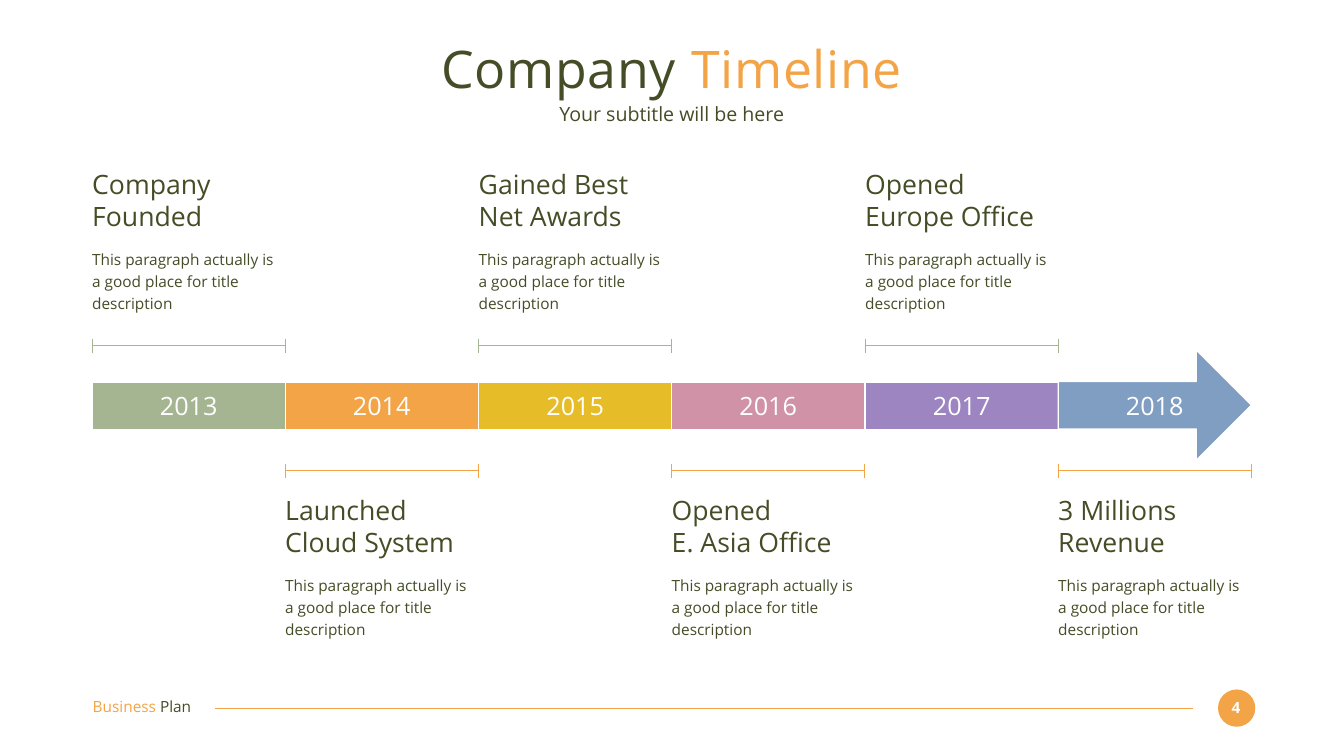
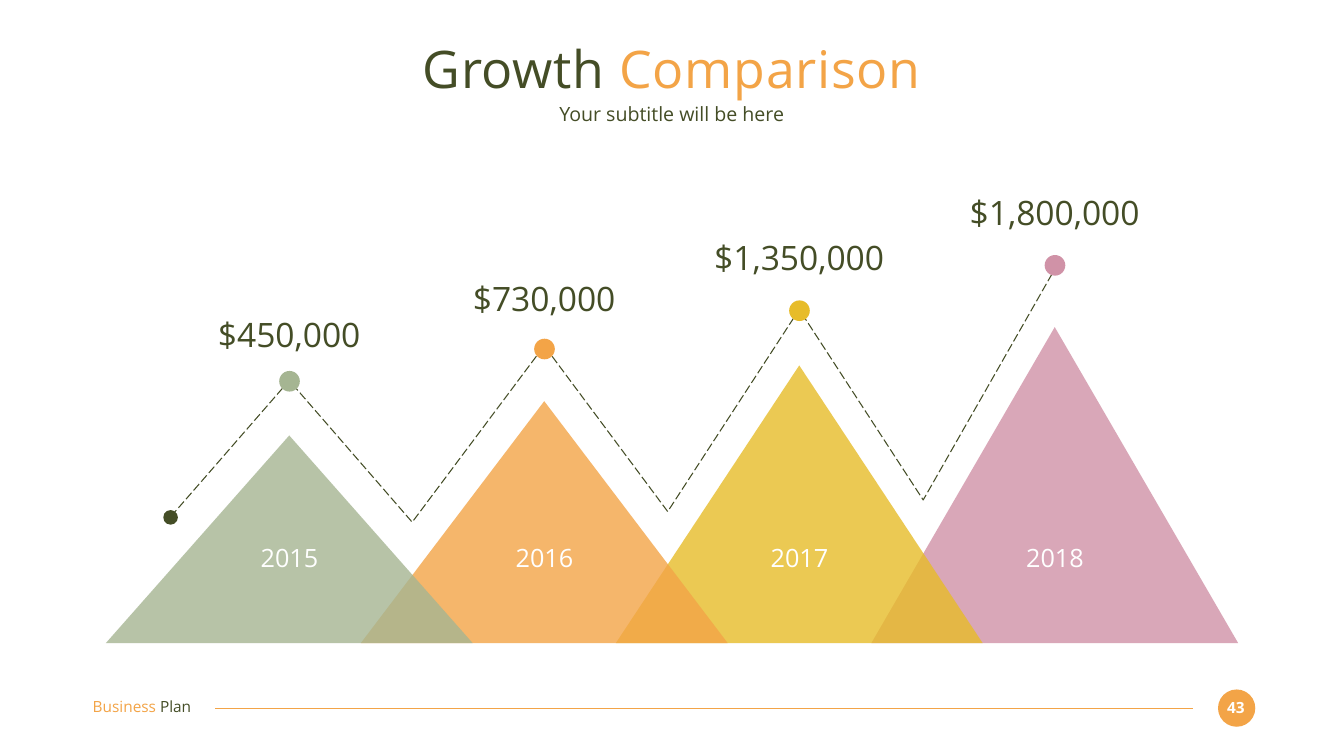
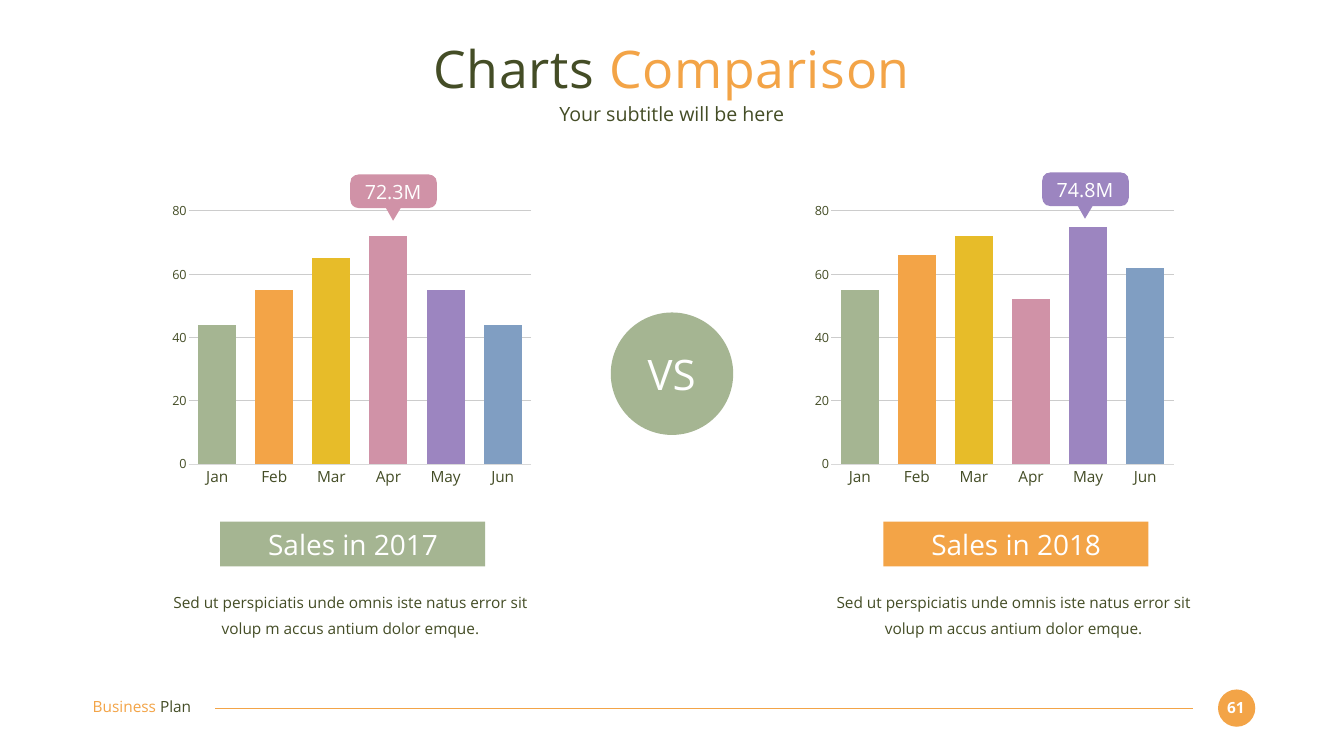
import math

from pptx import Presentation
from pptx import util as u
from pptx.chart.data import CategoryChartData
from pptx.dml.color import RGBColor
from pptx.enum import chart as charts, dml, shapes, text
from pptx.oxml import parse_xml
from pptx.oxml.ns import nsdecls, qn

PX = 9144
FONT = "Open Sans"
INK, WHITE = "444D26", "FFFFFF"
GREEN, ORANGE, YELLOW, PINK, PURPLE, BLUE = PALETTE = [
    "A5B592", "F3A447", "E7BC29", "D092A7", "9C85C0", "809EC2"]
LEFT, CENTER = text.PP_ALIGN.LEFT, text.PP_ALIGN.CENTER
KIND = shapes.MSO_SHAPE
rgb = RGBColor.from_string


def write(box, paragraphs, size, align=CENTER, leading=1.0, bold=False):
    frame = box.text_frame
    frame.word_wrap = True
    frame.auto_size = text.MSO_AUTO_SIZE.NONE
    frame.vertical_anchor = text.MSO_ANCHOR.TOP
    frame.margin_left = frame.margin_top = frame.margin_right = frame.margin_bottom = 0
    for index, spans in enumerate(paragraphs):
        para = frame.add_paragraph() if index else frame.paragraphs[0]
        para.alignment = align
        para.line_spacing = leading
        for words, color in spans:
            span = para.add_run()
            span.text = words
            span.font.name = FONT
            span.font.size = u.Pt(size)
            span.font.bold = bold
            span.font.color.rgb = rgb(color)


def paint(shape, fill=None, outline=None):
    shape.shadow.inherit = False
    if fill:
        shape.fill.solid()
        shape.fill.fore_color.rgb = rgb(fill)
    else:
        shape.fill.background()
    if outline:
        shape.line.color.rgb = rgb(outline)
        shape.line.width = u.Pt(1.5)
    else:
        shape.line.fill.background()


deck = Presentation()
deck.slide_width, deck.slide_height = 2667 * PX, 1500 * PX
pages = []
rules = []

for number, first, second in [
        ("4", "Company ", "Timeline"),
        ("43", "Growth ", "Comparison"),
        ("61", "Charts ", "Comparison")]:
    page = deck.slides.add_slide(deck.slide_layouts[5])
    pages.append(page)
    title = page.shapes.title
    title.left, title.top, title.width, title.height = 183 * PX, 73 * PX, 2300 * PX, 127 * PX
    write(title, [[(first, INK), (second, ORANGE)]], 74)
    for span in title.text_frame.paragraphs[0].runs:
        span._r.get_or_add_rPr().set("spc", "100")
    subtitle = page.shapes.add_textbox(183 * PX, 203 * PX, 2300 * PX, 49 * PX)
    write(subtitle, [[("Your subtitle will be here", INK)]], 28)
    badge = page.shapes.add_shape(KIND.OVAL, 2417 * PX, 1368 * PX, 74 * PX, 74 * PX)
    paint(badge, ORANGE)
    page_number = page.shapes.add_textbox(2423 * PX, 1385 * PX, 59 * PX, 37 * PX)
    write(page_number, [[(number, WHITE)]], 22, bold=True)
    footer = page.shapes.add_textbox(184 * PX, 1384 * PX, 259 * PX, 37 * PX)
    write(footer, [[("Business ", ORANGE), ("Plan", INK)]], 22, LEFT)
    rules.append((page, 2367, 1405, 427, 1405, ORANGE))

timeline, growth, comparison = pages

milestones = [
    ("2013", ["Company Founded"]),
    ("2014", ["Launched Cloud System"]),
    ("2015", ["Gained Best", "Net Awards"]),
    ("2016", ["Opened", "E. Asia Office"]),
    ("2017", ["Opened", "Europe Office"]),
    ("2018", ["3 Millions", "Revenue"])]
for index, (year, heading) in enumerate(milestones):
    left = 183 + 767 * index // 2
    right = left + 383
    if index < 5:
        block = timeline.shapes.add_shape(KIND.RECTANGLE, left * PX, 758 * PX, 383 * PX, 94 * PX)
    else:
        block = timeline.shapes.add_shape(KIND.RIGHT_ARROW, left * PX, 695 * PX, 383 * PX, 218 * PX)
        block.adjustments[0] = 0.43
        block.adjustments[1] = 0.5
    paint(block, PALETTE[index], WHITE)
    year_box = timeline.shapes.add_textbox((left + 102) * PX, 774 * PX, 179 * PX, 61 * PX)
    write(year_box, [[(year, WHITE)]], 36)

    bracket, top, color = (934, 980, ORANGE) if index % 2 else (686, 334, GREEN)
    rules.append((timeline, left, bracket, right, bracket, color))
    for end in (left, right):
        rules.append((timeline, end, bracket - 14, end, bracket + 15, color))
    heading_box = timeline.shapes.add_textbox(left * PX, top * PX, 383 * PX, 128 * PX)
    write(heading_box, [[(line, INK)] for line in heading], 38, LEFT)
    detail = timeline.shapes.add_textbox(left * PX, (top + 155) * PX, 383 * PX, 133 * PX)
    write(detail, [[("This paragraph actually is a good place for title description", INK)]],
          22, LEFT, 1.2)

peaks = [
    ("2015", "$450,000", 412, 736, 623),
    ("2016", "$730,000", 480, 672, 551),
    ("2017", "$1,350,000", 551, 596, 470),
    ("2018", "$1,800,000", 627, 506, 381)]
centers = [574 + 1519 * index // 3 for index in range(4)]
for center, peak, color in reversed(list(zip(centers, peaks, PALETTE))):
    height = peak[2]
    mountain = growth.shapes.add_shape(
        KIND.ISOSCELES_TRIANGLE, (center - 364) * PX, (1276 - height) * PX, 728 * PX, height * PX)
    paint(mountain, color)
    solid = mountain._element.spPr.find(".//" + qn("a:srgbClr"))
    solid.append(parse_xml(f'<a:alpha {nsdecls("a")} val="80000"/>'))

trail = growth.shapes.build_freeform(339, 1025, scale=PX)
trail.add_line_segments(
    [(574, 755), (818, 1036), (1080, 686), (1325, 1015), (1586, 614), (1832, 992), (2093, 534)],
    close=False)
trend = trail.convert_to_shape()
paint(trend, outline=INK)
trend.line.dash_style = dml.MSO_LINE.LONG_DASH
start = growth.shapes.add_shape(KIND.OVAL, 324 * PX, 1012 * PX, 29 * PX, 29 * PX)
paint(start, INK)

for center, color, (year, amount, height, dot_top, label_top) in zip(centers, PALETTE, peaks):
    year_box = growth.shapes.add_textbox((center - 120) * PX, 1076 * PX, 241 * PX, 61 * PX)
    write(year_box, [[(year, WHITE)]], 36)
    amount_box = growth.shapes.add_textbox((center - 184) * PX, label_top * PX, 368 * PX, 81 * PX)
    write(amount_box, [[(amount, INK)]], 48)
    dot = growth.shapes.add_shape(KIND.OVAL, (center - 20) * PX, dot_top * PX, 41 * PX, 41 * PX)
    paint(dot, color)

versus = comparison.shapes.add_shape(KIND.OVAL, 1212 * PX, 620 * PX, 243 * PX, 243 * PX)
paint(versus, GREEN)
versus_box = comparison.shapes.add_textbox(1261 * PX, 691 * PX, 144 * PX, 101 * PX)
write(versus_box, [[("VS", WHITE)]], 60)

sales = [
    ("Sales in 2017", [44, 55, 65, 72, 55, 44], 330, 437, GREEN, "72.3M", 695, 346, PINK),
    ("Sales in 2018", [55, 66, 72, 52, 75, 62], 1605, 1753, ORANGE, "74.8M", 2068, 342, PURPLE)]
for caption, values, chart_left, left, color, best, flag_left, flag_top, flag_color in sales:
    data = CategoryChartData()
    data.categories = ["Jan", "Feb", "Mar", "Apr", "May", "Jun"]
    data.add_series("Series 1", values)
    chart = comparison.shapes.add_chart(
        charts.XL_CHART_TYPE.COLUMN_CLUSTERED,
        chart_left * PX, 389 * PX, 739 * PX, 584 * PX, data).chart
    chart.has_title = False
    chart.has_legend = False
    chart.font.name = FONT
    chart.font.size = u.Pt(22)
    chart.font.color.rgb = rgb(INK)
    plot = chart.plots[0]
    plot.gap_width = 50
    plot.vary_by_categories = False
    series = plot.series[0]
    series.format.fill.solid()
    series.format.fill.fore_color.rgb = rgb(GREEN)
    for index, bar_color in enumerate(PALETTE[1:], 1):
        fill = series.points[index].format.fill
        fill.solid()
        fill.fore_color.rgb = rgb(bar_color)
    months, scale = chart.category_axis, chart.value_axis
    for axis, size in ((months, 22), (scale, 18)):
        axis.major_tick_mark = axis.minor_tick_mark = charts.XL_TICK_MARK.NONE
        axis.tick_labels.font.name = FONT
        axis.tick_labels.font.size = u.Pt(size)
        axis.tick_labels.font.color.rgb = rgb(INK)
    months.format.line.color.rgb = rgb("D9D9D9")
    months.format.line.width = u.Pt(0.75)
    scale.format.line.fill.background()
    scale.minimum_scale, scale.maximum_scale, scale.major_unit = 0, 80, 20
    scale.major_gridlines.format.line.color.rgb = rgb("CCCCCC")
    scale.major_gridlines.format.line.width = u.Pt(1)
    plot_area = chart._chartSpace.chart.plotArea
    for layout in plot_area.findall(qn("c:layout")):
        plot_area.remove(layout)
    plot_area.insert(0, parse_xml(
        f'<c:layout {nsdecls("c")}><c:manualLayout><c:layoutTarget val="inner"/>'
        '<c:xMode val="edge"/><c:yMode val="edge"/><c:x val="0.06"/><c:y val="0.05"/>'
        '<c:w val="0.92"/><c:h val="0.86"/></c:manualLayout></c:layout>'))

    banner = comparison.shapes.add_shape(KIND.RECTANGLE, left * PX, 1035 * PX, 526 * PX, 89 * PX)
    paint(banner, color)
    caption_box = comparison.shapes.add_textbox((left + 74) * PX, 1046 * PX, 379 * PX, 67 * PX)
    write(caption_box, [[(caption, WHITE)]], 40)

    outline = []
    for corner_x, corner_y, turn in ((155, 17, 270), (155, 50, 0), (17, 50, 90), (17, 17, 180)):
        for step in range(0, 91, 15):
            angle = math.radians(turn + step)
            outline.append((round(flag_left + corner_x + 17 * math.cos(angle)),
                            round(flag_top + corner_y + 17 * math.sin(angle))))
        if turn == 0:
            outline += [(flag_left + x, flag_top + y) for x, y in ((100, 67), (85, 92), (71, 67))]
    flag = comparison.shapes.build_freeform(*outline[0], scale=PX)
    flag.add_line_segments(outline[1:])
    paint(flag.convert_to_shape(), flag_color)
    best_box = comparison.shapes.add_textbox(
        (flag_left + 13) * PX, (flag_top + 11) * PX, 144 * PX, 47 * PX)
    write(best_box, [[(best, WHITE)]], 28)
    note = comparison.shapes.add_textbox((left - 122) * PX, 1163 * PX, 761 * PX, 104 * PX)
    write(note, [[("Sed ut perspiciatis unde omnis iste natus error sit volup m accus "
                   "antium dolor emque.", INK)]], 22, leading=1.4)

for page, start_x, start_y, end_x, end_y, color in rules:
    rule = page.shapes.add_connector(
        shapes.MSO_CONNECTOR.STRAIGHT, start_x * PX, start_y * PX, end_x * PX, end_y * PX)
    rule.line.color.rgb = rgb(color)
    rule.line.width = u.Pt(1.5)
    rule._element.spPr.append(parse_xml(f'<a:effectLst {nsdecls("a")}/>'))

deck.save("out.pptx")
